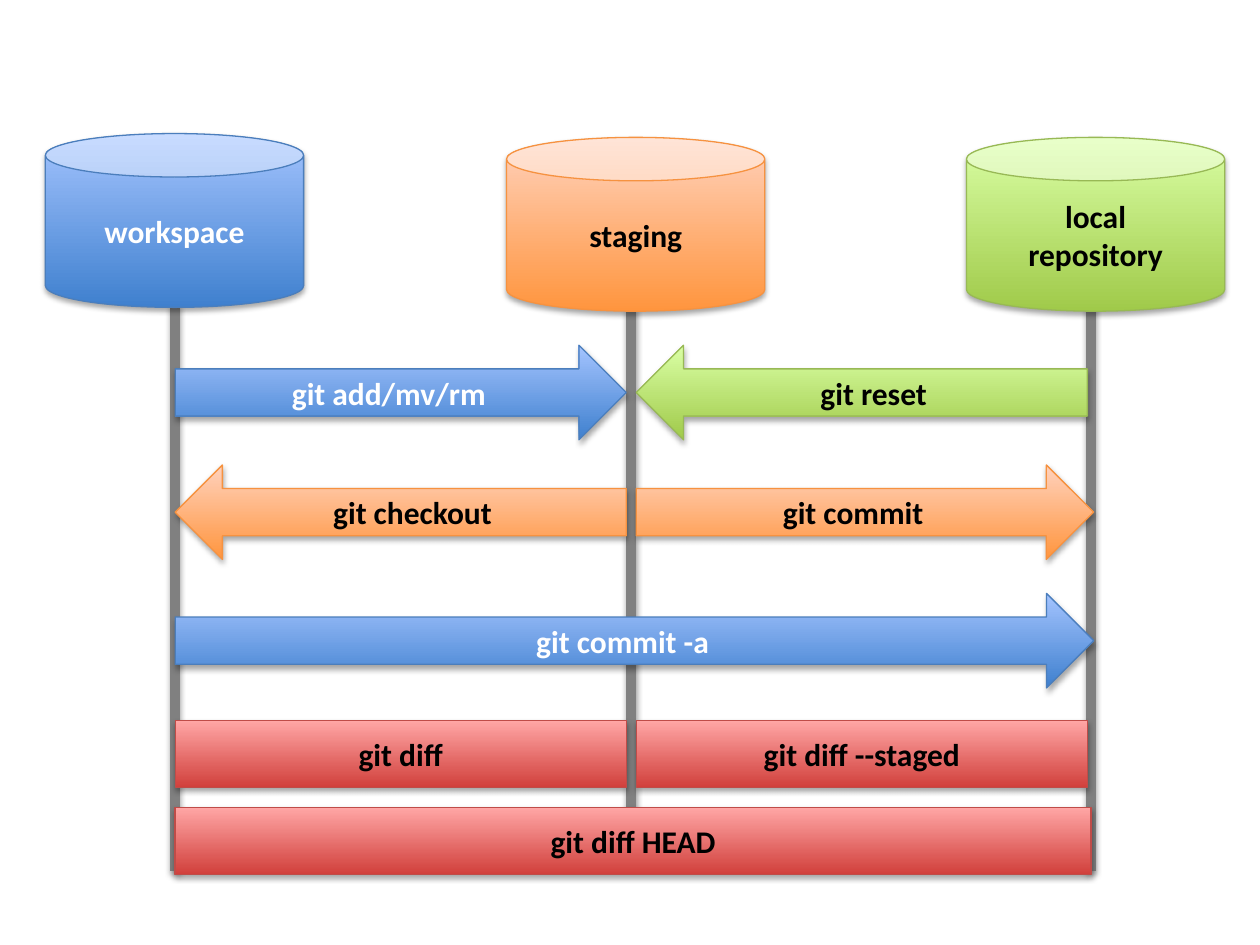
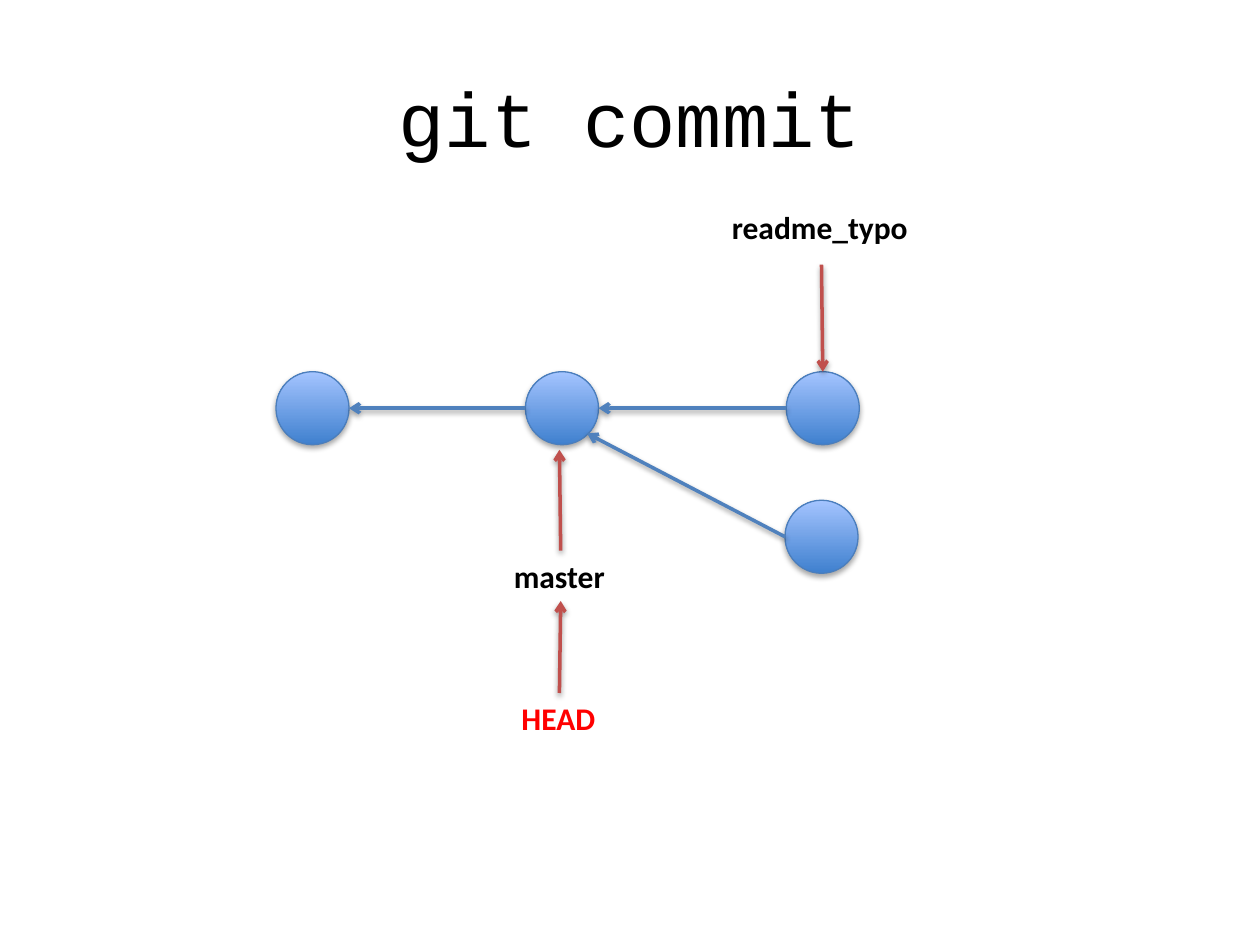
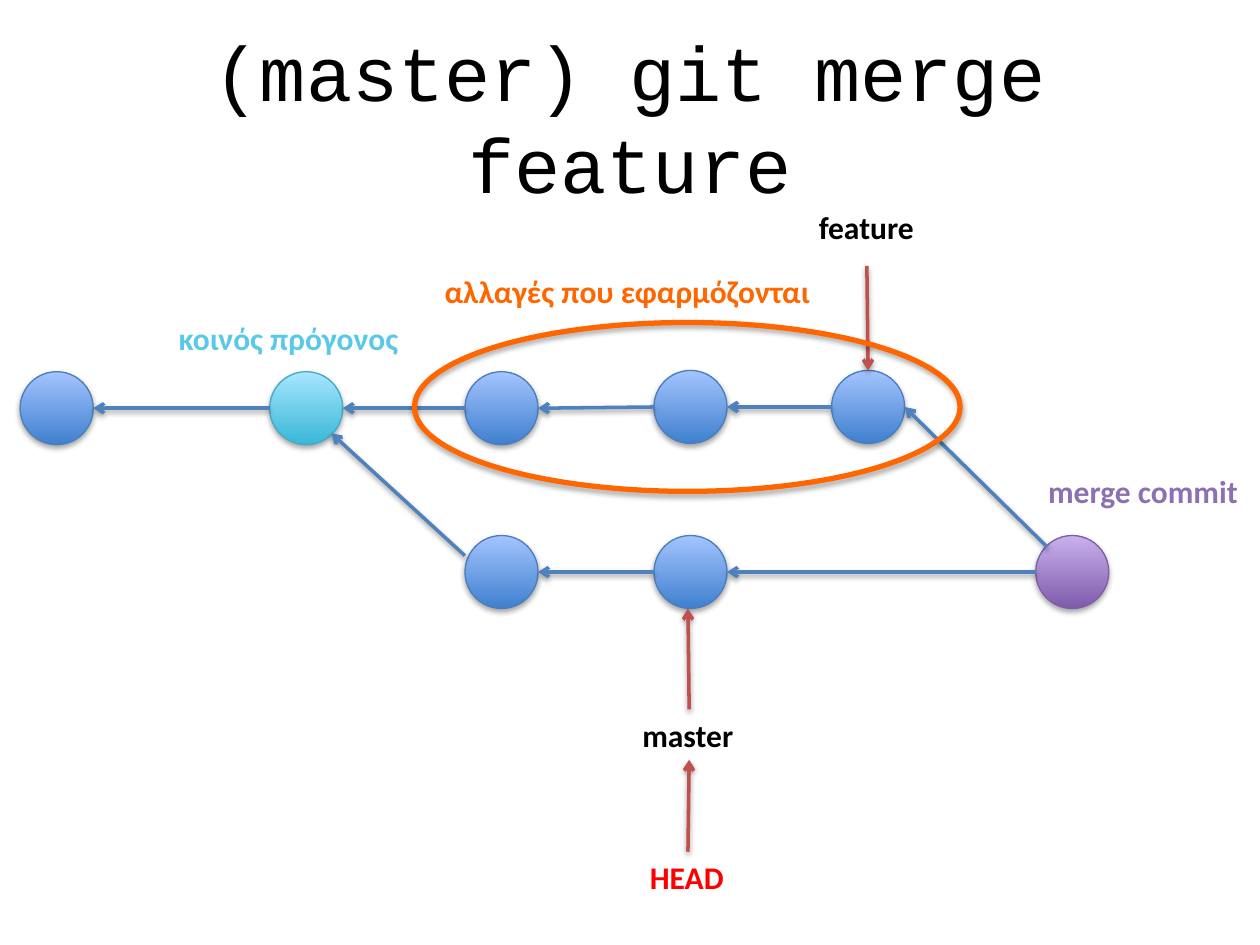
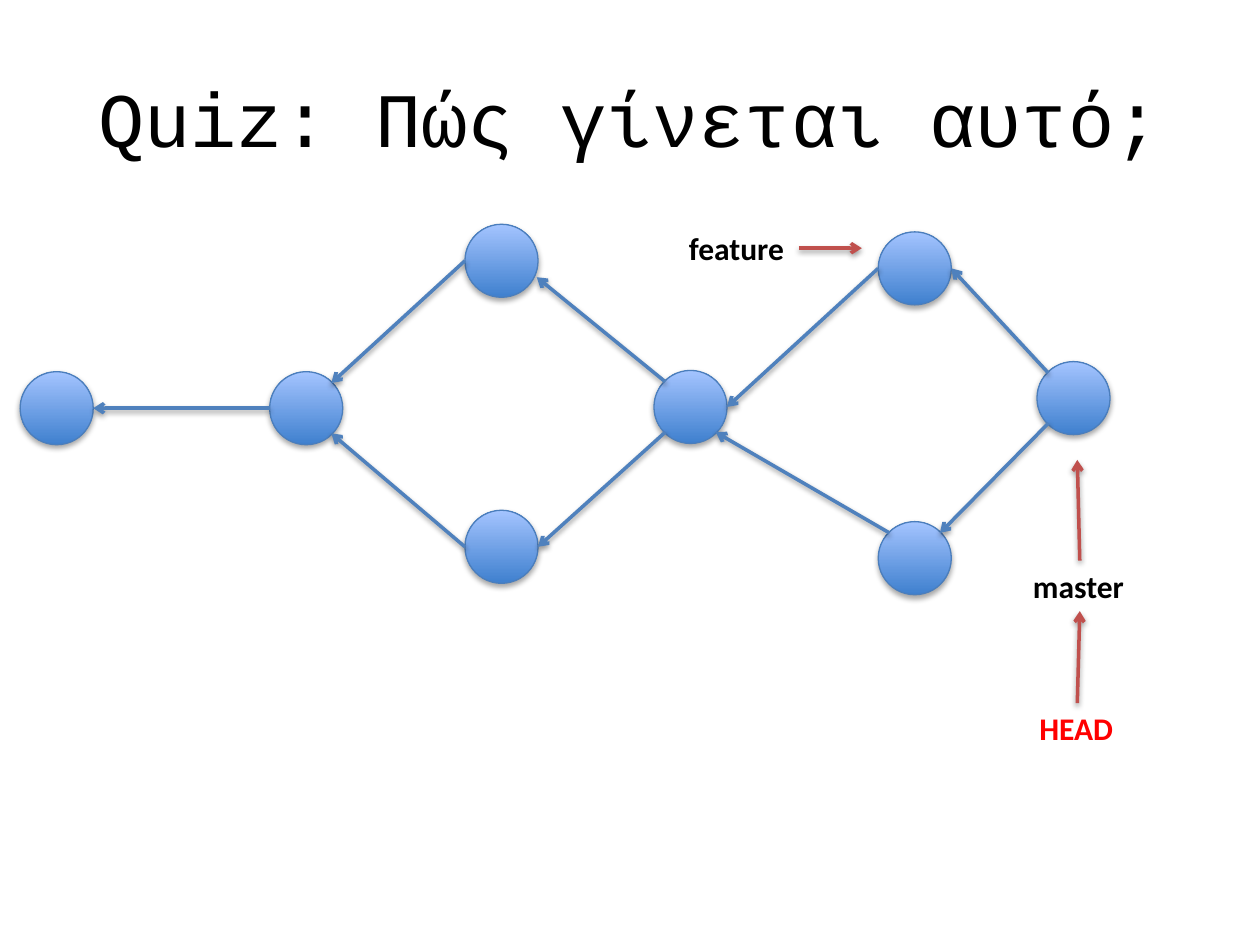
from lxml.etree import SubElement
from pptx import Presentation
from pptx.dml.color import RGBColor
from pptx.enum.shapes import MSO_CONNECTOR, MSO_SHAPE as Preset
from pptx.enum.text import MSO_ANCHOR, MSO_AUTO_SIZE as AutoSize, PP_ALIGN
from pptx.oxml import parse_xml
from pptx.oxml.ns import nsdecls, qn
from pptx.util import Pt

PX = 9144  # EMU per px, 100 px to the inch


class Theme:
    body_font, body_size = "Calibri", 18
    title_font, title_size = "Courier New", 44
    black, white, red = "000000", "FFFFFF", "FF0000"
    lifeline, parent_arrow, pointer_arrow = "808080", "4F81BD", "C0504D"
    orange_ink, cyan_ink, purple_ink = "FF6600", "5AC9E7", "8D70B2"
    # skin: bottom colour, top colour, outline, outline width
    blue = ("3F80CE", "A4C4FF", "4B7EBC", 0.75)
    orange = ("FF953E", "FFD2BD", "F69240", 0.75)
    green = ("A0CA4A", "DAFFA5", "98B955", 0.75)
    crimson = ("D1403C", "FFA6A5", "BF4C48", 0.75)
    cyan = ("39B7D8", "A7E6FF", "46AAC5", 0.75)
    purple = ("7F5BAB", "C8B0ED", "7D60A0", 0.75)
    ring = (None, None, orange_ink, 3)
    shadow = (
        f'<a:effectLst {nsdecls("a")}><a:outerShdw blurRad="40000" dist="%d" dir="5400000"'
        ' rotWithShape="0"><a:srgbClr val="000000"><a:alpha val="%d"/></a:srgbClr>'
        "</a:outerShdw></a:effectLst>"
    )


def add_box(page, preset, at, skin=None, text="", ink=Theme.black):
    """Add a skinned shape with centred text, or a plain label if preset is None."""
    frame = [value * PX for value in at]
    if preset is None:
        box = page.shapes.add_textbox(*frame)
        box.text_frame.word_wrap = False
        box.text_frame.auto_size = AutoSize.SHAPE_TO_FIT_TEXT
    else:
        box = page.shapes.add_shape(preset, *frame)
        box.text_frame.vertical_anchor = MSO_ANCHOR.MIDDLE
        bottom, top, edge, width = skin
        if bottom:
            box.fill.gradient()
            box.fill.gradient_angle = 90
            for stop, color in zip(box.fill.gradient_stops, (bottom, top)):
                stop.color.rgb = RGBColor.from_string(color)
        else:
            box.fill.background()
        box.line.color.rgb = RGBColor.from_string(edge)
        box.line.width = Pt(width)
        box._element.spPr.append(parse_xml(Theme.shadow % (23000, 35000)))
    for number, words in enumerate(text.split("\n") if text else []):
        para = box.text_frame.add_paragraph() if number else box.text_frame.paragraphs[0]
        para.alignment = PP_ALIGN.CENTER if preset else PP_ALIGN.LEFT
        span = para.add_run()
        span.text = words
        span.font.name, span.font.size, span.font.bold = Theme.body_font, Pt(Theme.body_size), True
        span.font.color.rgb = RGBColor.from_string(ink)
    return box


def add_line(page, start, end, color, width, arrow=False):
    line = page.shapes.add_connector(
        MSO_CONNECTOR.STRAIGHT, *[value * PX for value in (*start, *end)])
    line.line.color.rgb = RGBColor.from_string(color)
    line.line.width = Pt(width)
    properties = line._element.spPr
    if arrow:
        SubElement(properties.find(qn("a:ln")), qn("a:tailEnd"), type="arrow")
    properties.append(parse_xml(Theme.shadow % (20000, 38000)))
    return line


deck = Presentation()
deck.slide_width, deck.slide_height = 1000 * PX, 750 * PX
TITLE_ONLY, BLANK = deck.slide_layouts[5], deck.slide_layouts[6]

# Commands moving changes between the three stores
page = deck.slides.add_slide(BLANK)
LEFT, MIDDLE, RIGHT = 139, 505, 866
for x, top, bottom in ((LEFT, 242, 691), (RIGHT, 242, 691), (501, 244, 669)):
    add_line(page, (x, top), (x, bottom), Theme.lifeline, 6)

for x, y, skin, name, ink in (
    (36, 106, Theme.blue, "workspace", Theme.white),
    (402, 109, Theme.orange, "staging", Theme.black),
    (767, 109, Theme.green, "local\nrepository", Theme.black),
):
    add_box(page, Preset.CAN, (x, y, 205, 138), skin, name, ink)

HALF, ARROW, BAR = 358, 75, 53
for preset, x, y, width, height, skin, command, ink in (
    (Preset.RIGHT_ARROW, LEFT, 274, HALF, ARROW, Theme.blue, "git add/mv/rm", Theme.white),
    (Preset.RIGHT_ARROW, LEFT, 471, 729, ARROW, Theme.blue, "git commit -a", Theme.white),
    (Preset.RIGHT_ARROW, MIDDLE, 369, 363, ARROW, Theme.orange, "git commit", Theme.black),
    (Preset.RECTANGLE, LEFT, 572, HALF, BAR, Theme.crimson, "git diff", Theme.black),
    (Preset.RECTANGLE, MIDDLE, 572, HALF, BAR, Theme.crimson, "git diff --staged", Theme.black),
    (Preset.RECTANGLE, LEFT, 641, 727, BAR, Theme.crimson, "git diff HEAD", Theme.black),
    (Preset.LEFT_ARROW, LEFT, 369, HALF, ARROW, Theme.orange, "git checkout", Theme.black),
    (Preset.LEFT_ARROW, MIDDLE, 274, HALF, ARROW, Theme.green, "git reset", Theme.black),
):
    add_box(page, preset, (x, y, width, height), skin, command, ink)

# Commit graphs: an arrow end is either (part name, site) or a free point (x, y)
COMMIT = 58
BOX_SITES = ["top", "left", "bottom", "right"]
CIRCLE_SITES = {  # in connection order, as fractions of width and height
    "top": (0.5, 0), "top left": (0.15, 0.15), "left": (0, 0.5), "bottom left": (0.15, 0.85),
    "bottom": (0.5, 1), "bottom right": (0.85, 0.85), "right": (1, 0.5), "top right": (0.85, 0.15),
}
HEAD_TO_MASTER = (("HEAD", "top"), ("master", "bottom"))

graphs = [
    {
        "title": "git commit",
        "commits": {
            "first": (219, 295, Theme.blue), "base": (417, 295, Theme.blue),
            "typo fix": (624, 295, Theme.blue), "new": (623, 397, Theme.blue),
        },
        "labels": {
            "master": (398, 437, 94, Theme.black), "HEAD": (404, 550, 80, Theme.red),
            "readme_typo": (571, 160, 162, Theme.black),
        },
        "parents": [
            (("base", "left"), ("first", "right")),
            (("typo fix", "left"), ("base", "right")),
            (("new", "left"), ("base", "bottom right")),
        ],
        "pointers": [
            (("master", "top"), (444, 357)), HEAD_TO_MASTER,
            ((652, 210), ("typo fix", "top")),
        ],
        "rings": [],
    },
    {
        "title": "(master) git merge feature",
        "commits": {
            "first": (16, 295, Theme.blue), "ancestor": (214, 295, Theme.cyan),
            "feature 1": (369, 295, Theme.blue), "feature 2": (519, 294, Theme.blue),
            "feature 3": (660, 294, Theme.blue), "master 1": (369, 425, Theme.blue),
            "master 2": (519, 425, Theme.blue), "merge": (822, 425, Theme.purple),
        },
        "labels": {
            "master": (500, 563, 94, Theme.black), "HEAD": (506, 676, 80, Theme.red),
            "feature": (640, 160, 97, Theme.black),
            "αλλαγές που εφαρμόζονται": (343, 211, 314, Theme.orange_ink),
            "κοινός πρόγονος": (132, 248, 197, Theme.cyan_ink),
            "merge commit": (822, 370, 173, Theme.purple_ink),
        },
        "parents": [
            (("ancestor", "left"), ("first", "right")),
            (("feature 1", "left"), ("ancestor", "right")),
            (("feature 2", "left"), ("feature 1", "right")),
            (("feature 3", "left"), ("feature 2", "right")),
            ((369, 441), ("ancestor", "bottom right")),
            (("master 2", "left"), ("master 1", "right")),
            (("merge", "top left"), ("feature 3", "right")),
            (("merge", "left"), ("master 2", "right")),
        ],
        "pointers": [
            (("master", "top"), (546, 483)), HEAD_TO_MASTER,
            ((688, 211), ("feature 3", "top")),
        ],
        "rings": [(329, 256, 433, 134)],
    },
    {
        "title": "Quiz: Πώς γίνεται αυτό;",
        "commits": {
            "first": (16, 295, Theme.blue), "fork": (214, 295, Theme.blue),
            "upper 1": (369, 178, Theme.blue), "lower 1": (369, 405, Theme.blue),
            "merge 1": (519, 294, Theme.blue), "upper 2": (697, 184, Theme.blue),
            "lower 2": (697, 414, Theme.blue), "merge 2": (823, 287, Theme.blue),
        },
        "labels": {
            "master": (810, 445, 94, Theme.black), "HEAD": (815, 558, 80, Theme.red),
            "feature": (537, 177, 97, Theme.black),
        },
        "parents": [
            (("fork", "left"), ("first", "right")),
            (("upper 1", "left"), ("fork", "top right")),
            (("lower 1", "left"), ("fork", "bottom right")),
            (("merge 1", "top left"), (426, 220)),
            (("merge 1", "bottom left"), ("lower 1", "right")),
            (("upper 2", "left"), ("merge 1", "right")),
            (("lower 2", "top left"), ("merge 1", "bottom right")),
            (("merge 2", "top left"), ("upper 2", "right")),
            (("merge 2", "bottom left"), ("lower 2", "top right")),
        ],
        "pointers": [
            (("master", "top"), (855, 365)), HEAD_TO_MASTER,
            (("feature", "right"), (684, 197)),
        ],
        "rings": [],
    },
]

for graph in graphs:
    page = deck.slides.add_slide(TITLE_ONLY)
    title = page.shapes.title
    title.left, title.top, title.width, title.height = 50 * PX, 30 * PX, 900 * PX, 125 * PX
    title.text_frame.auto_size = AutoSize.NONE
    title.text_frame.vertical_anchor = MSO_ANCHOR.MIDDLE
    para = title.text_frame.paragraphs[0]
    para.alignment = PP_ALIGN.CENTER
    span = para.add_run()
    span.text = graph["title"]
    span.font.name, span.font.size = Theme.title_font, Pt(Theme.title_size)
    span.font.color.rgb = RGBColor.from_string(Theme.black)

    places, parts = {}, {}
    for name, (x, y, skin) in graph["commits"].items():
        places[name] = (x, y, COMMIT, COMMIT)
        parts[name] = add_box(page, Preset.OVAL, places[name], skin)
    for name, (x, y, width, ink) in graph["labels"].items():
        places[name] = (x, y, width, 40)
        parts[name] = add_box(page, None, places[name], text=name, ink=ink)

    arrows = [(ends, Theme.parent_arrow) for ends in graph["parents"]]
    arrows += [(ends, Theme.pointer_arrow) for ends in graph["pointers"]]
    for ends, color in arrows:
        points = []
        for end in ends:
            if end[0] in places:
                x, y, width, height = places[end[0]]
                across, down = CIRCLE_SITES[end[1]]
                end = (round(x + across * width), round(y + down * height))
            points.append(end)
        line = add_line(page, *points, color, 2, arrow=True)

        joins = zip(ends, (line.begin_connect, line.end_connect), ("a:stCxn", "a:endCxn"))
        for (name, site), connect, tag in joins:
            if name in graph["labels"]:
                connect(parts[name], BOX_SITES.index(site))
            elif name in graph["commits"]:
                SubElement(line._element.nvCxnSpPr.cNvCxnSpPr, qn(tag),
                           id=str(parts[name].shape_id), idx=str(list(CIRCLE_SITES).index(site)))

    for ring in graph["rings"]:
        add_box(page, Preset.OVAL, ring, Theme.ring)

deck.save("out.pptx")
